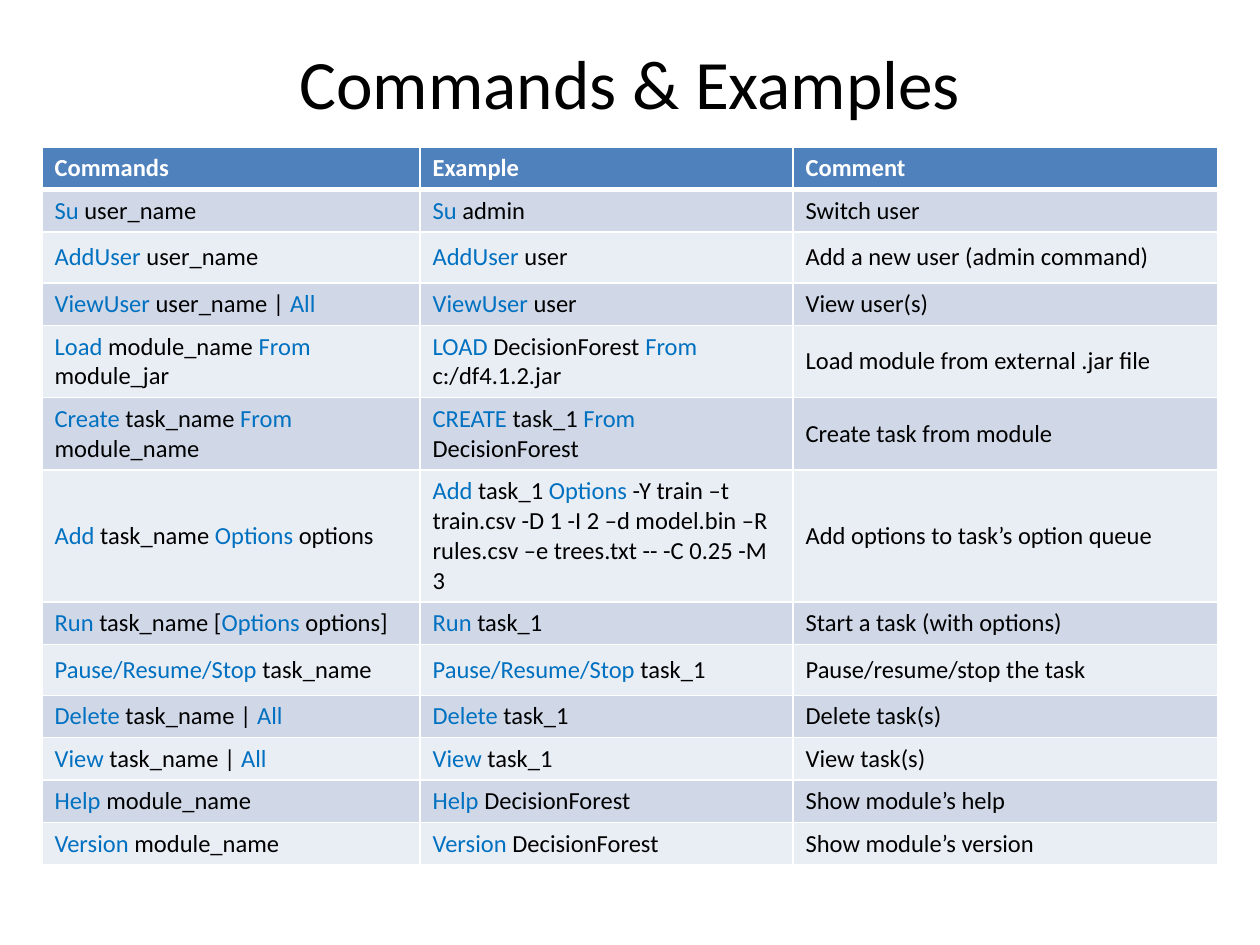
from dataclasses import dataclass

from lxml.etree import SubElement
from pptx import Presentation
from pptx.dml.color import RGBColor
from pptx.enum.text import MSO_ANCHOR, PP_ALIGN
from pptx.oxml.ns import qn
from pptx.util import Emu, Pt

EMU_PER_PIXEL = 914400 / 126
FONT = "Calibri"
BLACK = RGBColor(0x00, 0x00, 0x00)
WHITE = RGBColor(0xFF, 0xFF, 0xFF)
KEYWORD_BLUE = RGBColor(0x00, 0x70, 0xC0)
HEADER_BLUE = RGBColor(0x4F, 0x81, 0xBD)
BANDS = (RGBColor(0xE9, 0xED, 0xF4), RGBColor(0xD0, 0xD8, 0xE8))
COLUMN_WIDTHS = (378, 373, 425)


@dataclass
class CommandRow:
    command: str
    example: str
    comment: str
    height: int = 30


# Keywords stand between asterisks
ROWS = (
    CommandRow("Commands", "Example", "Comment"),
    CommandRow("*Su *user_name", "*Su *admin", "Switch user"),
    CommandRow("*AddUser *user_name", "*AddUser* user", "Add a new user (admin command)", 51),
    CommandRow("*ViewUser *user_name | *All*", "*ViewUser* user", "View user(s)"),
    CommandRow("*Load *module_name *From *module_jar",
               "*LOAD *DecisionForest *From *c:/df4.1.2.jar",
               "Load module from external .jar file", 51),
    CommandRow("*Create *task_name *From *module_name ",
               "*CREATE* task_1 *From *DecisionForest", "Create task from module"),
    CommandRow("*Add *task_name *Options *options",
               "*Add *task_1 *Options* -Y train –t train.csv -D 1 -I 2 –d model.bin "
               "–R rules.csv –e trees.txt -- -C 0.25 -M 3",
               "Add options to task’s option queue", 73),
    CommandRow("*Run *task_name [*Options *options]", "*Run *task_1", "Start a task (with options)"),
    CommandRow("*Pause/Resume/Stop *task_name", "*Pause/Resume/Stop *task_1 ",
               "Pause/resume/stop the task", 51),
    CommandRow("*Delete *task_name | *All*", "*Delete *task_1 ", "Delete task(s)"),
    CommandRow("*View *task_name | *All*", "*View* task_1 ", "View task(s)"),
    CommandRow("*Help *module_name ", "*Help *DecisionForest ", "Show module’s help"),
    CommandRow("*Version *module_name ", "*Version *DecisionForest", "Show module’s version"),
)


def px(pixels: int) -> Emu:
    return Emu(round(pixels * EMU_PER_PIXEL))


def add_run(paragraph, text: str, size: float, color: RGBColor, bold: bool = False) -> None:
    run = paragraph.add_run()
    run.text = text
    run.font.name = FONT
    run.font.size = Pt(size)
    run.font.bold = bold
    run.font.color.rgb = color


def add_border(cell, side: str, width: int) -> None:
    line = SubElement(cell._tc.get_or_add_tcPr(), qn(f"a:ln{side}"), w=str(Pt(width)))
    fill = SubElement(line, qn("a:solidFill"))
    SubElement(fill, qn("a:srgbClr"), val=str(WHITE))


def fill_cell(cell, text: str, row_index: int) -> None:
    header = row_index == 0
    thick_side = {0: "B", 1: "T"}.get(row_index)
    for side in "LRTB":
        add_border(cell, side, 3 if side == thick_side else 1)
    cell.fill.solid()
    cell.fill.fore_color.rgb = HEADER_BLUE if header else BANDS[row_index % 2]
    cell.vertical_anchor = MSO_ANCHOR.MIDDLE
    paragraph = cell.text_frame.paragraphs[0]
    plain_color = WHITE if header else BLACK
    for part_index, part in enumerate(text.split("*")):
        if part:
            add_run(paragraph, part, 14, KEYWORD_BLUE if part_index % 2 else plain_color, header)


presentation = Presentation()
presentation.slide_width, presentation.slide_height = px(1260), px(945)
slide = presentation.slides.add_slide(presentation.slide_layouts[5])

# Title
title = slide.shapes.title
title.left, title.top, title.width, title.height = px(63), px(48), px(1134), px(67)
title.text_frame.vertical_anchor = MSO_ANCHOR.MIDDLE
title_paragraph = title.text_frame.paragraphs[0]
title_paragraph.alignment = PP_ALIGN.CENTER
add_run(title_paragraph, "Commands & Examples", 39.6, BLACK)

# Command table
table_shape = slide.shapes.add_table(
    len(ROWS), len(COLUMN_WIDTHS), px(42), px(147), px(sum(COLUMN_WIDTHS)), px(712))
table = table_shape.table
for column, width in zip(table.columns, COLUMN_WIDTHS):
    column.width = px(width)
for row_index, row in enumerate(ROWS):
    table.rows[row_index].height = px(row.height)
    for column_index, text in enumerate((row.command, row.example, row.comment)):
        fill_cell(table.cell(row_index, column_index), text, row_index)
table_shape.height = px(712)

presentation.save("out.pptx")
